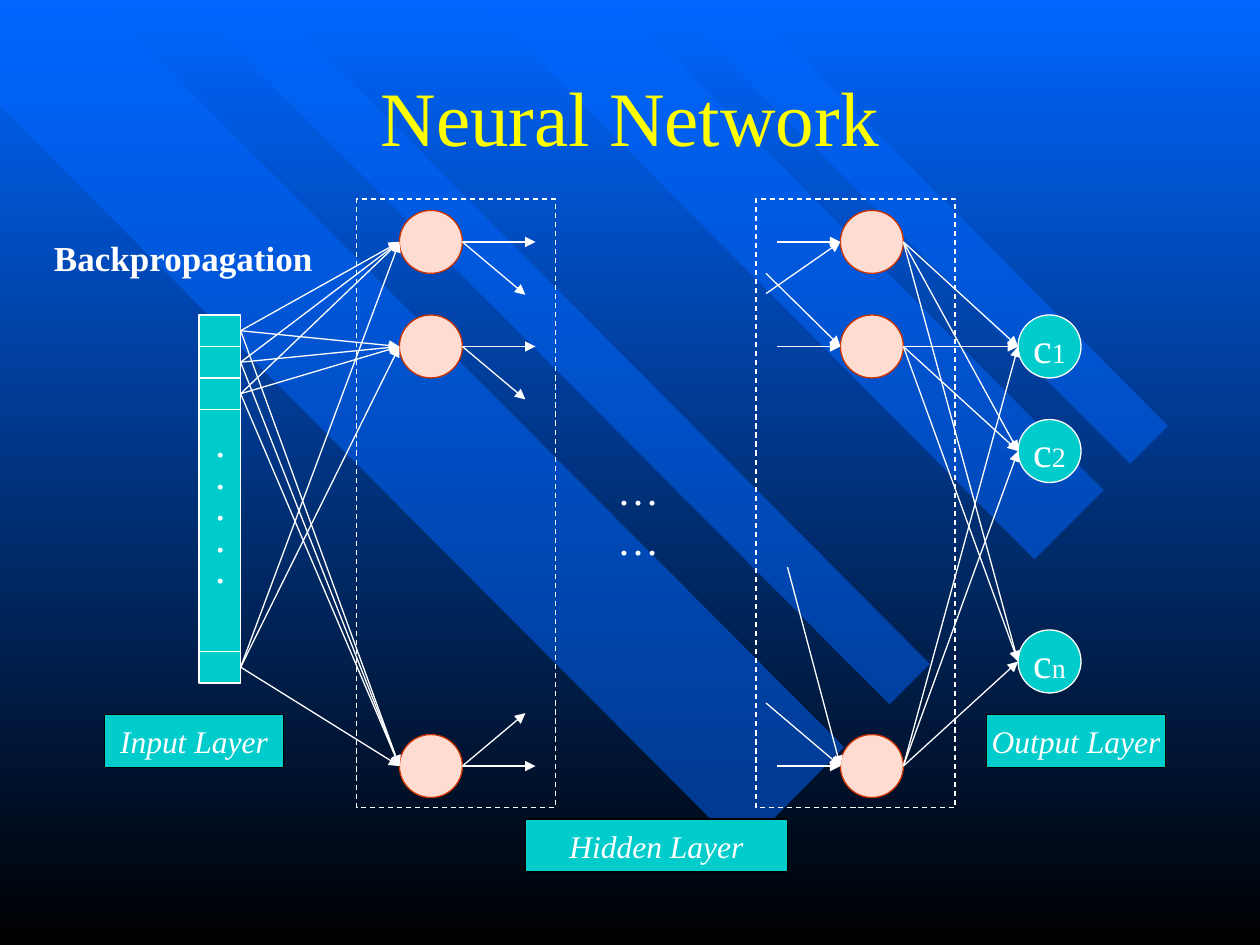
import pptx
import pptx.dml.color
import pptx.enum.dml
import pptx.enum.shapes
import pptx.enum.text
import pptx.oxml
import pptx.oxml.ns
import pptx.util

Inches = pptx.util.Inches
SHAPES = pptx.enum.shapes.MSO_SHAPE
ALIGN = pptx.enum.text.PP_ALIGN
ANCHOR = pptx.enum.text.MSO_ANCHOR
BLUE, WHITE, TEAL, BLACK = "0066FF", "FFFFFF", "00CCCC", "000000"
PINK, RED, YELLOW = "FFDCD1", "CC3300", "FFFF00"
NODE = 0.5
RIGHT_SIDE = 3


def color(value):
    return pptx.dml.color.RGBColor.from_string(value)


def apply_format(target, values):
    for name, value in values.items():
        setattr(target, name, value)


def append_element(parent, tag, **attributes):
    child = pptx.oxml.parse_xml(f"<a:{tag} {pptx.oxml.ns.nsdecls('a')}/>")
    for name, value in attributes.items():
        child.set(name, value)
    parent.append(child)


def write_text(shape, spans, align=ALIGN.LEFT, anchor=ANCHOR.TOP, wrap=False, ink=WHITE, **style):
    frame = shape.text_frame
    apply_format(frame, {"word_wrap": wrap, "vertical_anchor": anchor})
    para = frame.paragraphs[0]
    para.alignment = align
    for text, size in spans:
        span = para.add_run()
        span.text = text
        apply_format(span.font, {"name": "Times New Roman", "size": pptx.util.Pt(size), **style})
        span.font.color.rgb = color(ink)


def add_text(page, box, text, size, **style):
    shape = page.shapes.add_textbox(*map(Inches, box))
    write_text(shape, [(text, size)], **style)


def add_shape(page, kind, box, fill, line):
    shape = page.shapes.add_shape(kind, *map(Inches, box))
    shape.shadow.inherit = False
    if fill:
        shape.fill.solid()
        shape.fill.fore_color.rgb = color(fill)
    else:
        shape.fill.background()
    shape.line.color.rgb = color(line)
    shape.line.width = pptx.util.Pt(0.75)
    return shape


def add_arrow(page, start, end, source=None):
    arrow = page.shapes.add_connector(
        pptx.enum.shapes.MSO_CONNECTOR.STRAIGHT, *map(Inches, (*start, *end)))
    if source is not None:
        arrow.begin_connect(source, RIGHT_SIDE)
    arrow.line.color.rgb = color(WHITE)
    arrow.line.width = pptx.util.Pt(0.75)
    append_element(arrow.line._get_or_add_ln(), "tailEnd", type="triangle")
    append_element(arrow._element.spPr, "effectLst")


def draw_background(page, box):
    fill = page.background.fill
    fill.gradient()
    fill.gradient_angle = 270
    for stop, value in zip(fill.gradient_stops, (BLUE, BLACK)):
        stop.color.rgb = color(value)
    bands = [
        [(6.7, 5.93), (0.79, 0), (0, 0), (0, 0.84), (5.89, 6.75)],
        [(2.14, 0), (7.38, 5.27), (7.06, 5.59), (1.49, 0)],
        [(4.89, 0), (8.76, 3.89), (8.21, 4.44), (3.8, 0)],
        [(5.3, 0), (8.97, 3.68), (9.27, 3.38), (5.91, 0)],
    ]
    for band in bands:
        points = [(Inches(box[0] + x), Inches(box[1] + y)) for x, y in band]
        builder = page.shapes.build_freeform(*points[0])
        builder.add_line_segments(points[1:], close=True)
        shape = builder.convert_to_shape()
        shape.shadow.inherit = False
        shape.fill.solid()
        shape.fill.fore_color.rgb = color(BLUE)
        shape.line.fill.background()
        append_element(shape.fill._xPr.solidFill[0], "alpha", val="50000")


def draw_input_layer(page, box):
    left, top, width, height = box
    cell = 0.25
    offsets = [0, cell, 2 * cell, height - cell]
    cells = [add_shape(page, SHAPES.RECTANGLE, (left, top + offset, width, cell), TEAL, WHITE)
             for offset in offsets]
    add_shape(page, SHAPES.RECTANGLE,
              (left, top + 3 * cell, width, height - 4 * cell), TEAL, WHITE)
    for step in range(5):
        add_text(page, (left + 0.03, top + (3 + step) * cell, 0.28, 0.5), ".", 24)
    anchors = [(left + width, top + offset + cell / 2) for offset in offsets]
    return list(zip(cells, anchors))


def draw_hidden_layer(page, box, inset):
    left, top, _, height = box
    frame = add_shape(page, SHAPES.RECTANGLE, box, None, WHITE)
    frame.line.dash_style = pptx.enum.dml.MSO_LINE.DASH
    centers = []
    for offset in (0.09, 0.92, height - NODE - 0.08):
        node = (left + inset, top + offset, NODE, NODE)
        add_shape(page, SHAPES.OVAL, node, PINK, RED)
        centers.append((node[0] + NODE / 2, node[1] + NODE / 2))
    return centers


def draw_output_layer(page, box):
    left, top, width, height = box
    centers = []
    for index, offset in (("1", 0), ("2", 0.83), ("n", height - NODE)):
        node = add_shape(page, SHAPES.OVAL, (left, top + offset, width, NODE), TEAL, WHITE)
        write_text(node, [("c", 24), (index, 16)], ALIGN.CENTER, ANCHOR.MIDDLE)
        centers.append((left + width / 2, top + offset + NODE / 2))
    return centers


def left_of(center):
    return center[0] - NODE / 2, center[1]


def right_of(center):
    return center[0] + NODE / 2, center[1]


def draw_arrows(page, inputs, first, last, outputs):
    for cell, start in inputs:
        for center in first:
            add_arrow(page, start, left_of(center), cell)
    for center, drop in zip(first, (0.42, 0.42, -0.42)):
        x, y = right_of(center)
        add_arrow(page, (x, y), (x + 0.58, y))
        add_arrow(page, (x, y), (x + 0.5, y + drop))
    for center in last:
        for output in outputs:
            add_arrow(page, right_of(center), left_of(output))
    tails = [
        [(0.5, 0), (0.59, -0.41)],
        [(0.5, 0), (0.59, 0.58)],
        [(0.5, 0), (0.59, 0.5), (0.42, 1.58)],
    ]
    for center, offsets in zip(last, tails):
        x, y = left_of(center)
        for back, rise in offsets:
            add_arrow(page, (x - back, y - rise), (x, y))


def draw_label(page, box, text):
    label = add_shape(page, SHAPES.RECTANGLE, box, TEAL, BLACK)
    write_text(label, [(text, 18)], ALIGN.CENTER, ANCHOR.MIDDLE, italic=True)


def main():
    deck = pptx.Presentation()
    apply_format(deck, {"slide_width": Inches(10), "slide_height": Inches(7.5)})
    page = deck.slides.add_slide(deck.slide_layouts[6])
    draw_background(page, (0, 0, 10, 7.5))
    add_text(page, (0.75, 0.25, 8.5, 1.33), "Neural Network", 44, align=ALIGN.CENTER,
             anchor=ANCHOR.MIDDLE, wrap=True, ink=YELLOW)
    inputs = draw_input_layer(page, (1.58, 2.5, 0.33, 2.92))
    first = draw_hidden_layer(page, (2.83, 1.58, 1.58, 4.83), 0.34)
    last = draw_hidden_layer(page, (6, 1.58, 1.58, 4.83), 0.67)
    outputs = draw_output_layer(page, (8.08, 2.5, NODE, 3))
    draw_arrows(page, inputs, first, last, outputs)
    add_text(page, (4.8, 3.63, 0.86, 0.5), "……", 24)
    draw_label(page, (0.83, 5.67, 1.42, 0.42), "Input Layer")
    draw_label(page, (4.17, 6.5, 2.08, 0.42), "Hidden Layer")
    draw_label(page, (7.83, 5.67, 1.42, 0.42), "Output Layer")
    add_text(page, (0.33, 1.83, 2.25, 0.44), "Backpropagation", 20, bold=True)
    deck.save("out.pptx")


if __name__ == "__main__":
    main()
